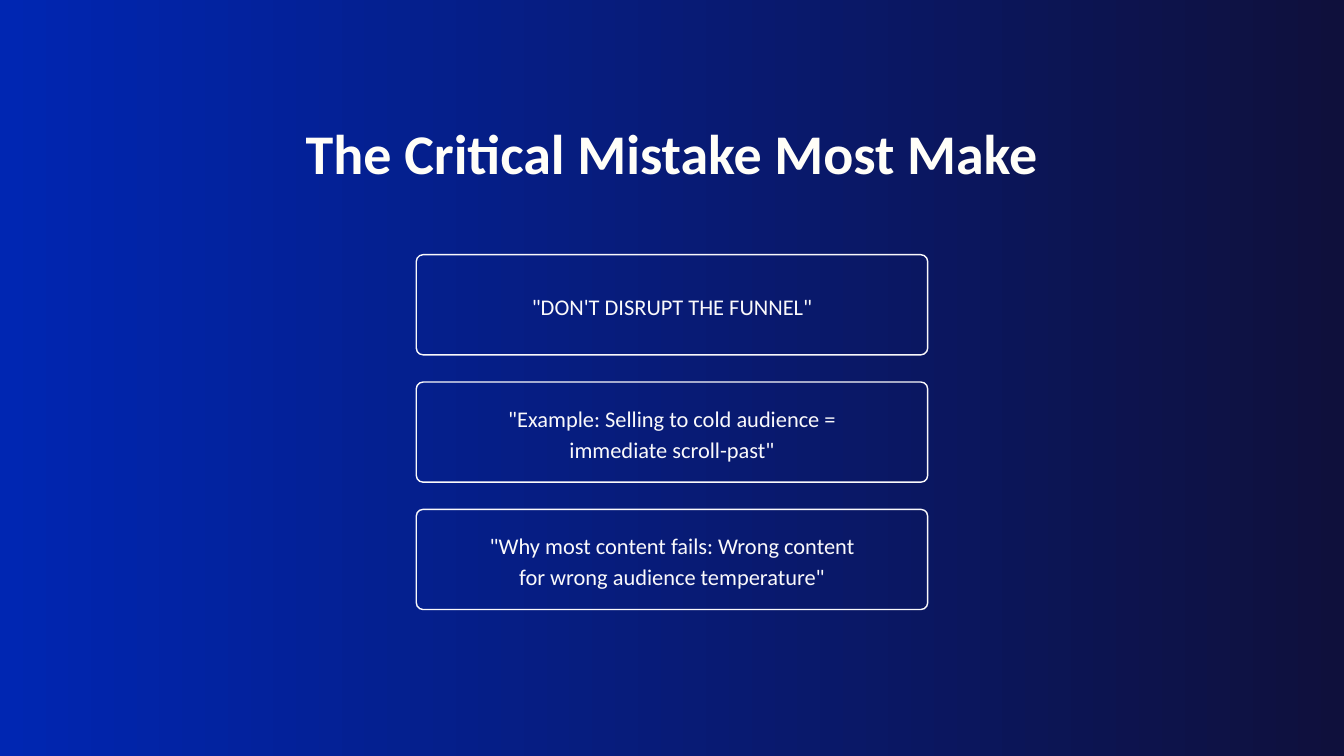
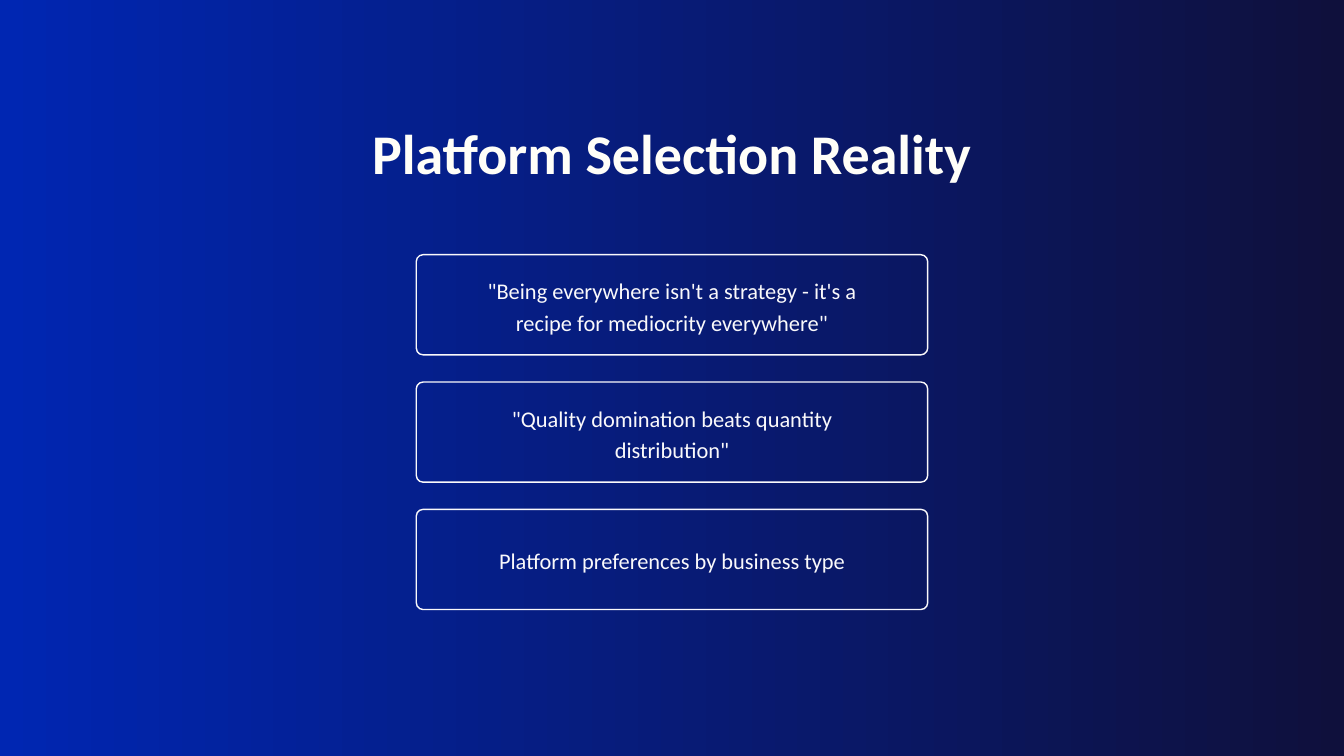
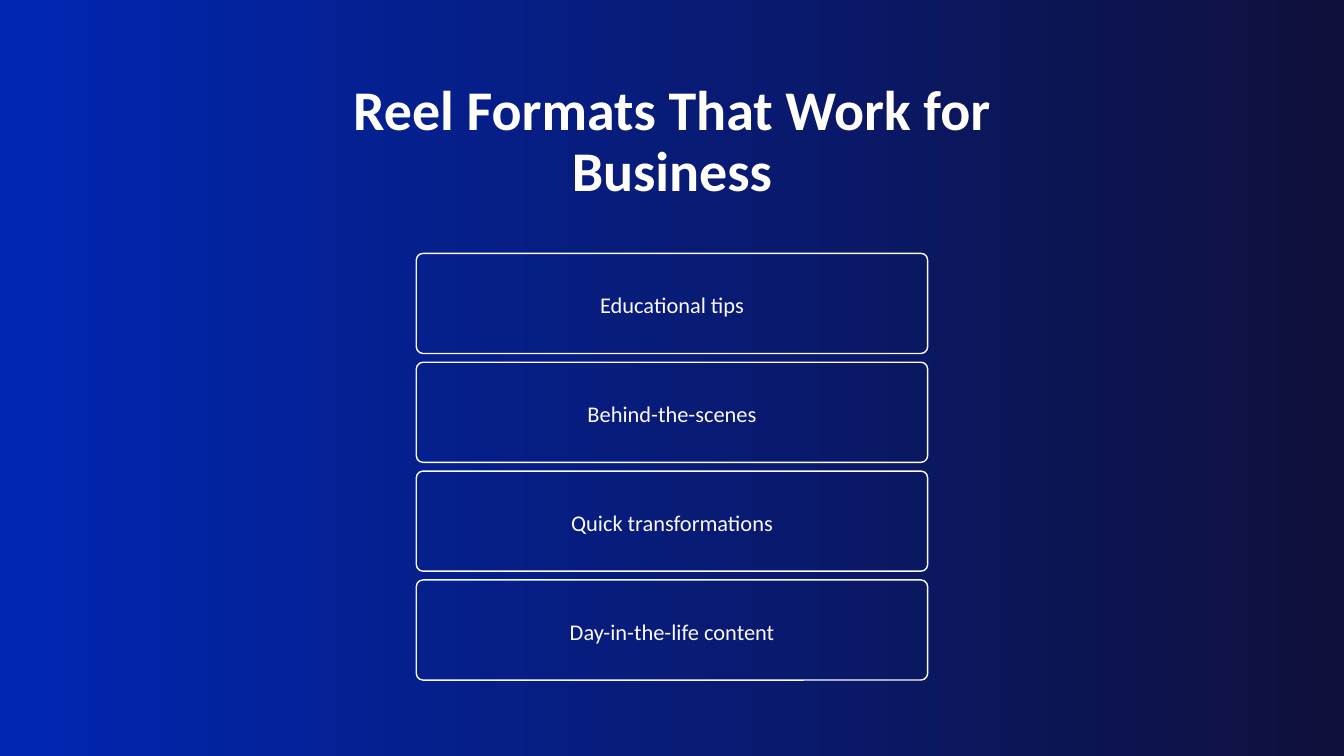
from pptx import Presentation
from pptx.dml.color import RGBColor
from pptx.enum.shapes import MSO_SHAPE as Preset
from pptx.enum.text import MSO_AUTO_SIZE as AutoSize, PP_ALIGN as Align
from pptx.util import Inches, Pt

# Content: title box is (left, top, width, height); a card is (text, lines, text width)
SLIDES = [
    {
        "title": "The Critical Mistake Most Make",
        "title_box": (3.34, 1.84, 13.31, 0.93),
        "first_top": 3.79,
        "pitch": 1.895,
        "cards": [
            ("\"DON'T DISRUPT THE FUNNEL\"", 1, 5.62),
            ('"Example: Selling to cold audience = immediate scroll-past"', 2, 5.51),
            ('"Why most content fails: Wrong content for wrong audience temperature"', 2, 5.82),
        ],
    },
    {
        "title": "Platform Selection Reality",
        "title_box": (3.34, 1.84, 13.31, 0.93),
        "first_top": 3.79,
        "pitch": 1.895,
        "cards": [
            ("\"Being everywhere isn't a strategy - it's a recipe for mediocrity everywhere\"", 2, 6.26),
            ('"Quality domination beats quantity distribution"', 2, 5.51),
            ("Platform preferences by business type", 1, 5.82),
        ],
    },
    {
        "title": "Reel Formats That Work for Business",
        "title_box": (4.91, 1.19, 10.18, 1.83),
        "first_top": 3.77,
        "pitch": 1.62,
        "cards": [
            ("Educational tips", 1, 6.26),
            ("Behind-the-scenes", 1, 6),
            ("Quick transformations", 1, 5.82),
            ("Day-in-the-life content", 1, 5.82),
        ],
    },
]

# Shared style
COLORS = {
    "gradient_start": "0026B2",
    "gradient_end": "0F103C",
    "title": "FFFEF8",
    "card": "FAF9FB",
}
FONT = "Calibri"
SLIDE_WIDTH, SLIDE_HEIGHT = 20, 11.25
CARD_WIDTH, CARD_HEIGHT, CARD_RADIUS = 7.61, 1.49, 0.1
TEXT_CENTER = 0.72  # from the top of a card to the middle of its text
LINE_HEIGHT, EXTRA_LINE = 0.44, 0.46


def color(name):
    return RGBColor.from_string(COLORS[name])


def paint_background(slide):
    fill = slide.background.fill
    fill.gradient()
    fill.gradient_angle = 0
    for stop, position, name in zip(
        fill.gradient_stops, (0, 1), ("gradient_start", "gradient_end")
    ):
        stop.position = position
        stop.color.rgb = color(name)


def add_text(shapes, box, text, size, spacing, color_name, bold=False):
    frame = shapes.add_textbox(*map(Inches, box)).text_frame
    frame.margin_left = frame.margin_right = frame.margin_top = frame.margin_bottom = 0
    frame.word_wrap = True
    frame.auto_size = AutoSize.SHAPE_TO_FIT_TEXT
    paragraph = frame.paragraphs[0]
    paragraph.alignment = Align.CENTER
    paragraph.line_spacing = Pt(spacing)
    run = paragraph.add_run()
    run.text = text
    run.font.name = FONT
    run.font.size = Pt(size)
    run.font.bold = bold
    run.font.color.rgb = color(color_name)


def add_card(slide, top, text, lines, text_width):
    shapes = slide.shapes.add_group_shape().shapes
    left = (SLIDE_WIDTH - CARD_WIDTH) / 2
    outline = shapes.add_shape(
        Preset.ROUNDED_RECTANGLE, *map(Inches, (left, top, CARD_WIDTH, CARD_HEIGHT))
    )
    outline.adjustments[0] = CARD_RADIUS / CARD_HEIGHT
    outline.shadow.inherit = False
    outline.fill.background()
    outline.line.color.rgb = color("card")
    outline.line.width = Pt(1.5)

    # Text centred on the card
    height = LINE_HEIGHT + EXTRA_LINE * (lines - 1)
    box = ((SLIDE_WIDTH - text_width) / 2, top + TEXT_CENTER - height / 2, text_width, height)
    add_text(shapes, box, text, 24, 33.6, "card")


def main():
    presentation = Presentation()
    presentation.slide_width = Inches(SLIDE_WIDTH)
    presentation.slide_height = Inches(SLIDE_HEIGHT)
    for content in SLIDES:
        slide = presentation.slides.add_slide(presentation.slide_layouts[6])
        paint_background(slide)
        add_text(slide.shapes, content["title_box"], content["title"], 60, 66, "title", bold=True)
        for index, card in enumerate(content["cards"]):
            add_card(slide, content["first_top"] + index * content["pitch"], *card)
    presentation.save("out.pptx")


if __name__ == "__main__":
    main()
